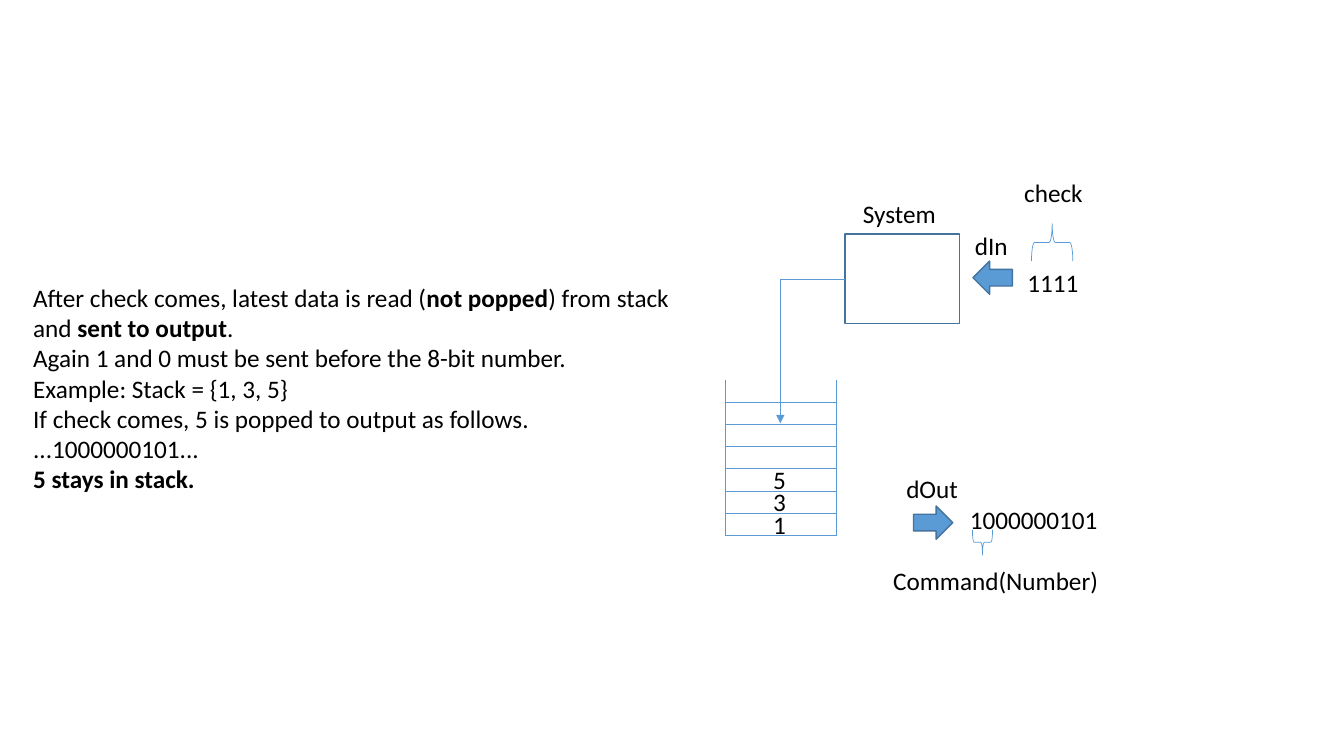
from pptx import Presentation
from pptx.dml.color import RGBColor
from pptx.enum.shapes import MSO_CONNECTOR as CONN, MSO_SHAPE as SHAPE
from pptx.enum.text import MSO_AUTO_SIZE as AUTOSIZE
from pptx.oxml.ns import qn
from pptx.oxml.xmlchemy import OxmlElement
from pptx.util import Inches, Pt

BLACK = RGBColor(0x00, 0x00, 0x00)
BLUE = RGBColor(0x5B, 0x9B, 0xD5)
DARK_BLUE = RGBColor(0x43, 0x73, 0x9E)

STACK_LEFT, STACK_RIGHT = 7.19, 8.3
STACK_TOP, STACK_BOTTOM = 3.77, 5.31
CELL = 0.22

EXPLANATION = [
    [("After check comes, latest data is read (", False), ("not popped", True),
     (") from stack and ", False), ("sent to output", True), (".", False)],
    [("Again 1 and 0 must be sent before the 8-bit number.", False)],
    [("Example: Stack = {1, 3, 5}", False)],
    [("If check comes, 5 is popped to output as follows.", False)],
    [("...1000000101...", False)],
    [("5 stays in stack.", True)],
]

LABELS = [
    ("1111", 10.09, 2.6, 0.71, False),
    ("System", 8.46, 1.92, 0.99, True),
    ("check", 10.06, 1.71, 0.87, True),
    ("1000000101", 9.52, 4.95, 1.48, False),
    ("Command(Number)", 8.76, 5.56, 2.34, True),
    ("dIn", 9.57, 2.24, 0.53, False),
    ("dOut", 8.89, 4.65, 0.72, False),
]


def add_text(s, paragraphs, left, top, width, height=0.4, wrap=True):
    """Add a text box from paragraphs of (text, bold) runs."""
    sp = s.shapes.add_textbox(Inches(left), Inches(top), Inches(width), Inches(height))
    tf = sp.text_frame
    tf.word_wrap = wrap
    tf.auto_size = AUTOSIZE.SHAPE_TO_FIT_TEXT
    for i, runs in enumerate(paragraphs):
        p = tf.add_paragraph() if i else tf.paragraphs[0]
        for text, bold in runs:
            r = p.add_run()
            r.text = text
            r.font.name = "Calibri"
            r.font.size = Pt(18)
            r.font.bold = bold
            r.font.color.rgb = BLACK


def add_figure(s, kind, left, top, width, height, line, weight, fill=None, rotation=0):
    """Add an outlined preset shape, filled if a colour is given."""
    sp = s.shapes.add_shape(kind, Inches(left), Inches(top), Inches(width), Inches(height))
    sp.shadow.inherit = False
    sp.rotation = rotation
    sp.line.color.rgb = line
    sp.line.width = Pt(weight)
    if fill is None:
        sp.fill.background()
    else:
        sp.fill.solid()
        sp.fill.fore_color.rgb = fill


def add_line(s, x1, y1, x2, y2, kind=CONN.STRAIGHT):
    """Add a thin blue connector without shadow."""
    c = s.shapes.add_connector(kind, Inches(x1), Inches(y1), Inches(x2), Inches(y2))
    c.line.color.rgb = BLUE
    c.line.width = Pt(0.5)
    c._element.spPr.append(OxmlElement("a:effectLst"))
    return c


def add_bent_arrow(s, x1, y1, x2, y2):
    """Add a connector with one bend and a triangle at its end."""
    c = add_line(s, x1, y1, x2, y2, CONN.ELBOW)
    c._element.spPr.find(qn("a:prstGeom")).set("prst", "bentConnector2")
    tail = OxmlElement("a:tailEnd")
    tail.set("type", "triangle")
    c.line._get_or_add_ln().append(tail)


def add_stack(s, values, shelves):
    """Draw the open-topped stack with its values from the bottom up."""
    for x in (STACK_LEFT, STACK_RIGHT):
        add_line(s, x, STACK_TOP, x, STACK_BOTTOM)
    for i in range(shelves):
        y = STACK_BOTTOM - i * CELL
        add_line(s, STACK_LEFT, y, STACK_RIGHT, y)
    for i, value in enumerate(values):
        add_text(s, [[(value, False)]], 7.57, 5 - i * CELL, 0.33, wrap=False)


def main():
    """Build and save the slide."""
    prs = Presentation()
    prs.slide_width, prs.slide_height = Inches(13.33), Inches(7.5)
    s = prs.slides.add_slide(prs.slide_layouts[6])
    add_text(s, EXPLANATION, 0.23, 2.75, 6.67, 2.22)
    add_stack(s, "135", 7)
    add_figure(s, SHAPE.RECTANGLE, 8.38, 2.32, 1.14, 0.89, DARK_BLUE, 1)
    add_bent_arrow(s, 8.38, 2.77, 7.74, 4.2)
    for left, top, rotation in ((9.65, 2.59, 180), (9.06, 5.02, 0)):
        add_figure(s, SHAPE.RIGHT_ARROW, left, top, 0.39, 0.33, DARK_BLUE, 1, BLUE, rotation)
    add_figure(s, SHAPE.LEFT_BRACE, 10.25, 2.2, 0.37, 0.41, BLUE, 0.5, rotation=90)
    add_figure(s, SHAPE.LEFT_BRACE, 9.62, 5.28, 0.25, 0.2, BLUE, 0.5, rotation=270)
    for text, left, top, width, wrap in LABELS:
        add_text(s, [[(text, False)]], left, top, width, wrap=wrap)
    prs.save("out.pptx")


if __name__ == "__main__":
    main()
